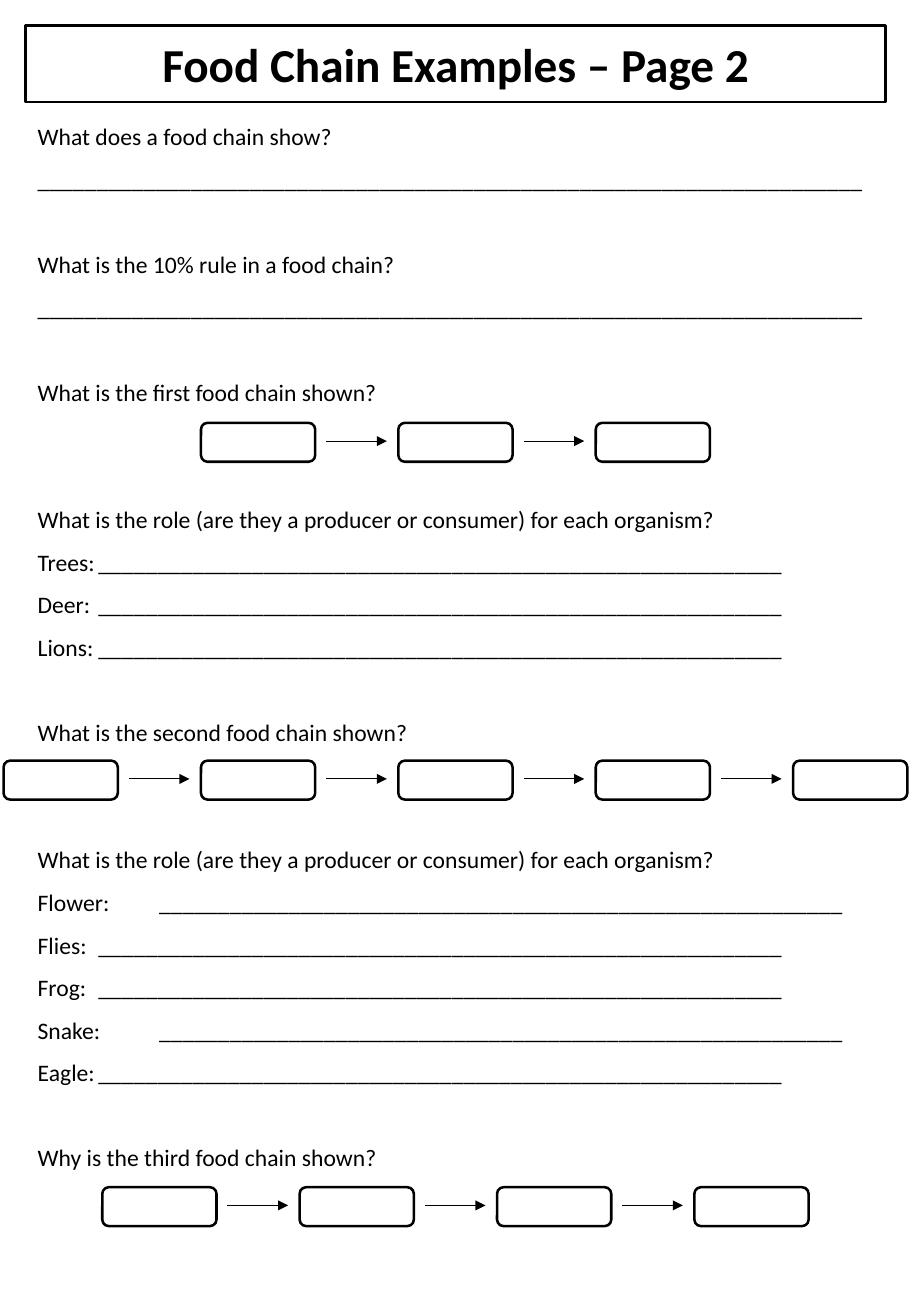
from collections import namedtuple

from lxml.etree import SubElement
from pptx import Presentation
from pptx.dml.color import RGBColor
from pptx.enum.shapes import MSO_CONNECTOR as Connector, MSO_SHAPE as Preset
from pptx.enum.text import MSO_ANCHOR as Anchor, MSO_AUTO_SIZE as AutoSize, PP_ALIGN as Align
from pptx.oxml.ns import qn
from pptx.util import Pt

HEADING = "Food Chain Examples – Page 2"
ANSWER_LINE = "_" * 70
ROLE_LINE = "_" * 58
ROLE_QUESTION = "What is the role (are they a producer or consumer) for each organism?"

Section = namedtuple("Section", "question answers blank_lines tab", defaults=((), 1, None))
SECTIONS = [
    Section("What does a food chain show?", (ANSWER_LINE,), 0),
    Section("What is the 10% rule in a food chain?", (ANSWER_LINE,)),
    Section("What is the first food chain shown?"),
    Section(ROLE_QUESTION,
            tuple(f"{organism}:\t{ROLE_LINE}" for organism in ("Trees", "Deer", "Lions")),
            2, 100),
    Section("What is the second food chain shown?"),
    Section(ROLE_QUESTION,
            tuple(f"{organism}:\t{ROLE_LINE}"
                  for organism in ("Flower", "Flies", "Frog", "Snake", "Eagle")),
            2, 104),
    Section("Why is the third food chain shown?"),
]
CHAINS = [(348, 3), (626, 5), (977, 4)]

Theme = namedtuple("Theme", "font ink paper heading body border arrow spacing blank_line")
THEME = Theme("Calibri", RGBColor(0, 0, 0), RGBColor(255, 255, 255),
              Pt(28), Pt(14), Pt(1.5), Pt(0.5), 1.5, 25.2)

PX = 9144
PAGE_W, PAGE_H = 750, 1083
MARGIN = 21
HEADING_H, QUESTIONS_H = 63, 925
LINK_W, LINK_H = 94, 32
LONGEST_CHAIN_W, LONGEST_CHAIN = 744, 5
LINK_PITCH = (LONGEST_CHAIN_W - LINK_W) / (LONGEST_CHAIN - 1)
ARROW_OFFSET, ARROW_DROP, ARROW_W = 103, 15, 50


def px(length):
    return round(length * PX)


def place(holder, top, height):
    holder.left, holder.top = px(MARGIN), px(top)
    holder.width, holder.height = px(PAGE_W - 2 * MARGIN), px(height)
    holder.text_frame.auto_size = AutoSize.NONE
    holder.text_frame.word_wrap = True


def style_runs(paragraph, size, bold=False):
    for run in paragraph.runs:
        run.font.name = THEME.font
        run.font.size = size
        run.font.bold = bold
        run.font.color.rgb = THEME.ink


def outline(shape, width):
    shape.line.color.rgb = THEME.ink
    shape.line.width = width


def write_heading(title):
    place(title, MARGIN, HEADING_H)
    geometry = SubElement(title.element.spPr, qn("a:prstGeom"), prst="roundRect")
    SubElement(geometry, qn("a:avLst"))
    title.fill.solid()
    title.fill.fore_color.rgb = THEME.paper
    outline(title, THEME.border)
    title.text_frame.text = HEADING
    title.text_frame.vertical_anchor = Anchor.MIDDLE
    heading = title.text_frame.paragraphs[0]
    heading.alignment = Align.CENTER
    style_runs(heading, THEME.heading, True)


def write_line(paragraph, text, blank_lines, tab):
    paragraph.text = text
    properties = paragraph._p.get_or_add_pPr()
    properties.set("marL", "0")
    properties.set("indent", "0")
    SubElement(properties, qn("a:buNone"))
    if tab:
        stops = SubElement(properties, qn("a:tabLst"))
        SubElement(stops, qn("a:tab"), pos=str(px(tab)), algn="l")
    paragraph.line_spacing = THEME.spacing
    paragraph.space_before = Pt(blank_lines * THEME.blank_line)
    style_runs(paragraph, THEME.body)


def write_questions(body):
    place(body, MARGIN + HEADING_H, QUESTIONS_H)
    frame = body.text_frame
    frame.vertical_anchor = Anchor.TOP
    lines = []
    for section in SECTIONS:
        lines.append((section.question, section.blank_lines, None))
        lines += [(answer, 0, section.tab) for answer in section.answers]
    for index, line in enumerate(lines):
        write_line(frame.add_paragraph() if index else frame.paragraphs[0], *line)


def draw_arrow(shapes, left, y):
    arrow = shapes.add_connector(Connector.STRAIGHT, px(left), px(y), px(left + ARROW_W), px(y))
    outline(arrow, THEME.arrow)
    SubElement(arrow.line._get_or_add_ln(), qn("a:tailEnd"), type="triangle")
    SubElement(arrow._element.spPr, qn("a:effectLst"))


def draw_chain(slide, top, links):
    shapes = slide.shapes.add_group_shape().shapes
    start = (PAGE_W - LINK_W - (links - 1) * LINK_PITCH) / 2
    for index in range(links):
        left = start + index * LINK_PITCH
        link = shapes.add_shape(Preset.ROUNDED_RECTANGLE,
                                px(left), px(top), px(LINK_W), px(LINK_H))
        link.shadow.inherit = False
        link.fill.background()
        outline(link, THEME.border)
        if index < links - 1:
            draw_arrow(shapes, left + ARROW_OFFSET, top + ARROW_DROP)


def main():
    worksheet = Presentation()
    worksheet.slide_width, worksheet.slide_height = px(PAGE_W), px(PAGE_H)
    slide = worksheet.slides.add_slide(worksheet.slide_layouts[1])
    write_heading(slide.shapes.title)
    write_questions(slide.placeholders[1])
    for top, links in CHAINS:
        draw_chain(slide, top, links)
    worksheet.save("out.pptx")


if __name__ == "__main__":
    main()
